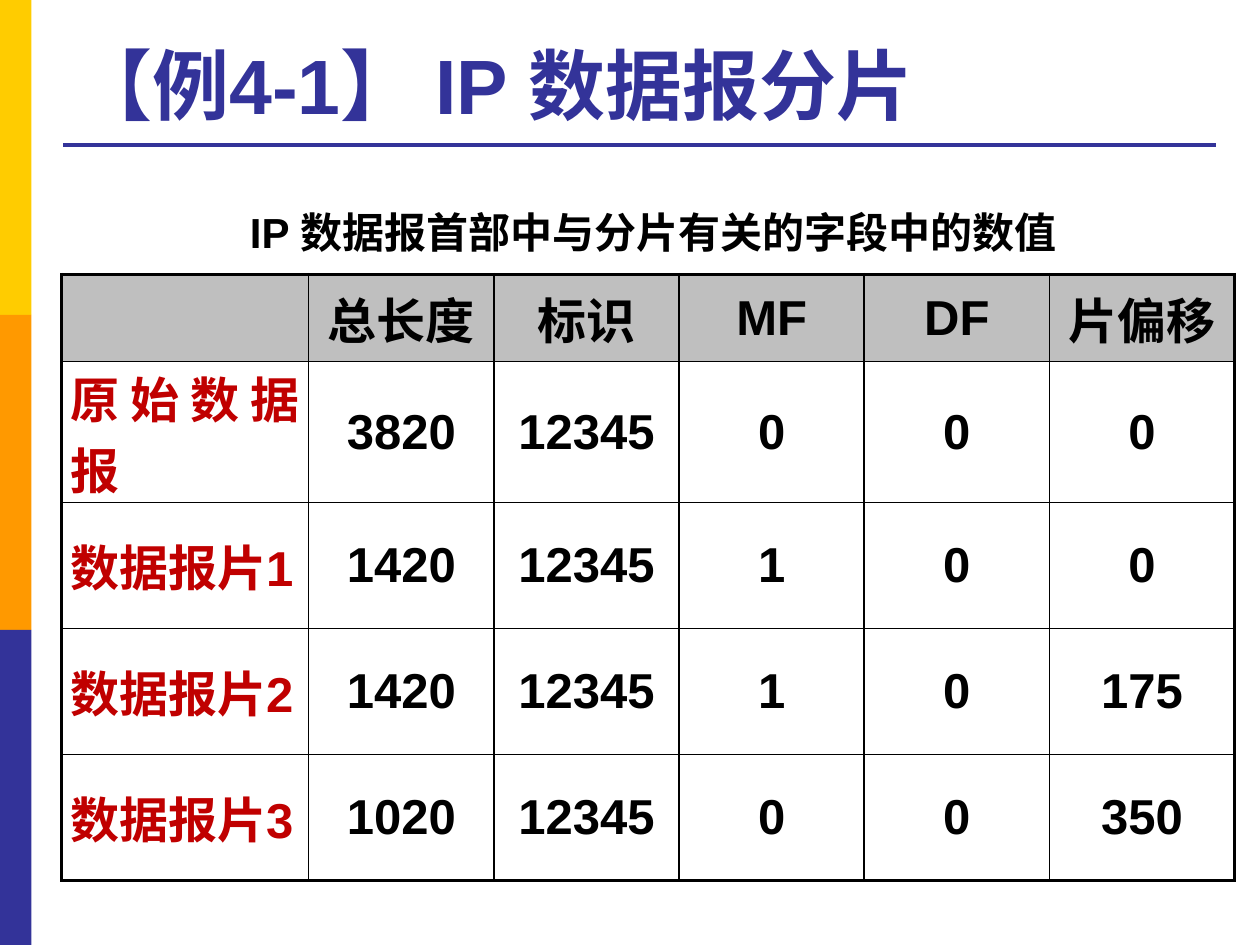
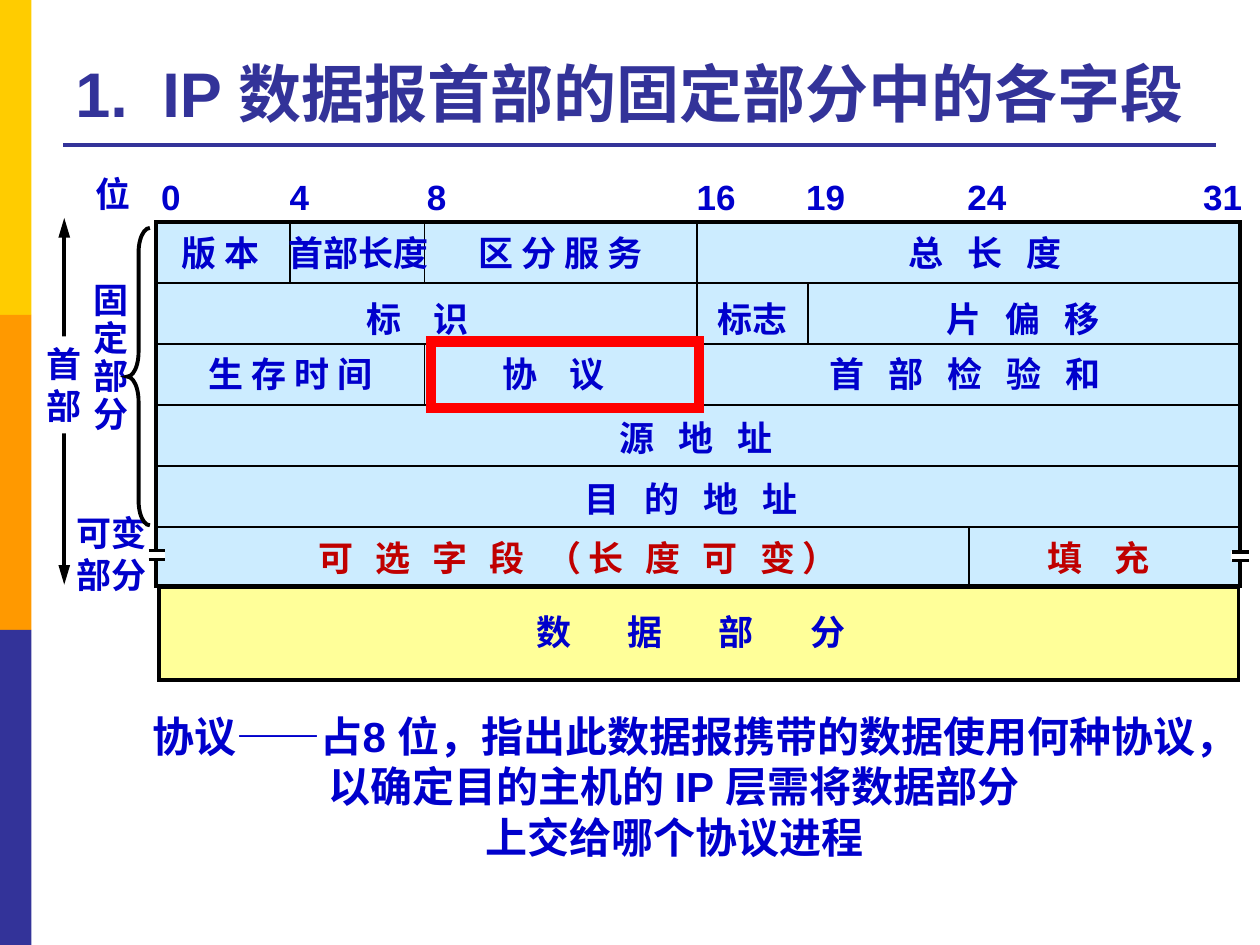
import pptx
import pptx.dml.color
import pptx.enum.shapes
import pptx.enum.text
import pptx.oxml
import pptx.oxml.ns
import pptx.util

RGBColor = pptx.dml.color.RGBColor
Inches = pptx.util.Inches
Pt = pptx.util.Pt
SHAPE = pptx.enum.shapes.MSO_SHAPE
ANCHOR = pptx.enum.text.MSO_ANCHOR
ALIGN = pptx.enum.text.PP_ALIGN

YELLOW = RGBColor(0xFF, 0xCC, 0x00)
ORANGE = RGBColor(0xFF, 0x99, 0x00)
INDIGO = RGBColor(0x33, 0x33, 0x99)
BLACK = RGBColor(0x00, 0x00, 0x00)
WHITE = RGBColor(0xFF, 0xFF, 0xFF)
GRAY = RGBColor(0xBF, 0xBF, 0xBF)
BLUE = RGBColor(0x00, 0x00, 0xCC)
DARK_RED = RGBColor(0xC0, 0x00, 0x00)
RED = RGBColor(0xFF, 0x00, 0x00)
PALE_BLUE = RGBColor(0xCC, 0xEC, 0xFF)
PALE_YELLOW = RGBColor(0xFF, 0xFF, 0x99)

SLIDE_WIDTH, SLIDE_HEIGHT = 10, 7.5
FONT = "Arial"
BAND_COLORS = [YELLOW, ORANGE, INDIGO]

FRAGMENT_TITLE = "【例4-1】 IP 数据报分片"
FRAGMENT_CAPTION = "IP 数据报首部中与分片有关的字段中的数值"
FRAGMENT_ROWS = [
    ["", "总长度", "标识", "MF", "DF", "片偏移"],
    ["原始数据报", "3820", "12345", "0", "0", "0"],
    ["数据报片1", "1420", "12345", "1", "0", "0"],
    ["数据报片2", "1420", "12345", "1", "0", "175"],
    ["数据报片3", "1020", "12345", "0", "0", "350"],
]
FRAGMENT_COLUMNS = [1.96] + [1.47] * 5
FRAGMENT_ROW_HEIGHTS = [0.69, 1.12] + [1] * 3

HEADER_TITLE = "1.\tIP 数据报首部的固定部分中的各字段"
HEADER_TITLE_TAB = 0.69
HEADER_NOTE = [
    "协议——占8 位，指出此数据报携带的数据使用何种协议，",
    "以确定目的主机的 IP 层需将数据部分",
    "上交给哪个协议进程",
]
# Left edge of the column that starts at each bit
BIT_X = {0: 1.24, 4: 2.3, 8: 3.37, 16: 5.53, 19: 6.41, 24: 7.69, 32: 9.84}
BIT_LABELS = [("0", 1.18), ("4", 2.2), ("8", 3.29), ("16", 5.43),
              ("19", 6.3), ("24", 7.58), ("31", 9.45)]
HEADER_TOP, HEADER_BOTTOM, HEADER_ROWS = 1.76, 4.65, 6
ROW_HEIGHT = 0.485
LABEL_TOPS = [1.79, 2.31, 2.75, 3.26, 3.74, 4.21, 4.8]
# Row, first bit, end bit, text, width of a gap in spaces, shift from the centre, colour
FIELDS = [
    (0, 0, 4, "版 本", 1, -0.01, BLUE),
    (0, 4, 8, "首部长度", 1, 0.01, BLUE),
    (0, 8, 16, "区 分 服 务", 1, 0.02, BLUE),
    (0, 16, 32, "总 长 度", 3, 0.18, BLUE),
    (1, 0, 16, "标 识", 4, -0.04, BLUE),
    (1, 16, 19, "标志", 1, 0, BLUE),
    (1, 19, 32, "片 偏 移", 3, 0.04, BLUE),
    (2, 0, 8, "生 存 时 间", 1, 0.02, BLUE),
    (2, 8, 16, "协 议", 4, -0.03, BLUE),
    (2, 16, 32, "首 部 检 验 和", 3, 0.06, BLUE),
    (3, 0, 32, "源 地 址", 3, 0.03, BLUE),
    (4, 0, 32, "目 的 地 址", 3, 0.01, BLUE),
    (5, 0, 24, "可 选 字 段 （长 度 可 变）", 3, 0.27, DARK_RED),
    (5, 24, 32, "填 充", 4, -0.02, DARK_RED),
    (6, 0, 32, "数 据 部 分", 7, 0.09, BLUE),
]
# Bit, first row, end row of each upright divider
DIVIDERS = [(4, 0, 1), (8, 0, 1), (8, 2, 3), (16, 0, 3), (19, 1, 2), (24, 5, 6)]
LABEL_SIZE = 20
GLYPH_WIDTH = LABEL_SIZE / 72
SPACE_WIDTH = 0.28 * GLYPH_WIDTH
GAP_SPACE_WIDTH = 0.23 * GLYPH_WIDTH


def format_text(text_frame, size, color, align=ALIGN.LEFT, spacing=0, line_spacing=None):
    """Format every run; spacing is the extra room after each character, in points."""
    for paragraph in text_frame.paragraphs:
        paragraph.alignment = align
        if line_spacing:
            paragraph.line_spacing = line_spacing
        for run in paragraph.runs:
            run.font.name = FONT
            run.font.size = Pt(size)
            run.font.bold = True
            run.font.color.rgb = color
            if spacing:
                run._r.get_or_add_rPr().set("spc", str(round(spacing * 100)))


def add_text(slide, box, text, size, color, wrap=False, anchor=ANCHOR.TOP, grow=True, **style):
    shape = slide.shapes.add_textbox(*map(Inches, box))
    text_frame = shape.text_frame
    text_frame.text = text
    text_frame.word_wrap = wrap
    text_frame.vertical_anchor = anchor
    if grow:
        text_frame.auto_size = pptx.enum.text.MSO_AUTO_SIZE.SHAPE_TO_FIT_TEXT
    format_text(text_frame, size, color, **style)
    return shape


def add_block(slide, box, fill=None, line=None, weight=1, kind=SHAPE.RECTANGLE):
    shape = slide.shapes.add_shape(kind, *map(Inches, box))
    shape.shadow.inherit = False
    if fill is None:
        shape.fill.background()
    else:
        shape.fill.solid()
        shape.fill.fore_color.rgb = fill
    if line is None:
        shape.line.fill.background()
    else:
        shape.line.color.rgb = line
        shape.line.width = Pt(weight)
        outline = shape._element.spPr.find(pptx.oxml.ns.qn("a:ln"))
        outline.append(new_element("a:miter", lim="800000"))
    return shape


def add_line(slide, start, end, color=BLACK, weight=1, arrows=False):
    line = slide.shapes.add_connector(
        pptx.enum.shapes.MSO_CONNECTOR.STRAIGHT, *map(Inches, (*start, *end)))
    line.line.color.rgb = color
    line.line.width = Pt(weight)
    properties = line._element.spPr
    if arrows:
        outline = properties.find(pptx.oxml.ns.qn("a:ln"))
        for tag in ("a:headEnd", "a:tailEnd"):
            outline.append(new_element(tag, type="triangle", w="med", len="lg"))
    properties.append(new_element("a:effectLst"))


def new_element(tag, **attributes):
    namespace = pptx.oxml.ns.nsdecls("a")
    element = pptx.oxml.parse_xml(f"<{tag} {namespace}/>")
    for name, value in attributes.items():
        element.set(name, value)
    return element


def add_base_slide(presentation, title, size, tab=None):
    """Add a slide with the side bands, the title and its rule."""
    slide = presentation.slides.add_slide(presentation.slide_layouts[6])
    band_height = SLIDE_HEIGHT / len(BAND_COLORS)
    for index, color in enumerate(BAND_COLORS):
        add_block(slide, (0, index * band_height, 0.25, band_height), color)
    add_line(slide, (0.5, 1.15), (9.65, 1.15), INDIGO, 2.25)
    heading = add_text(slide, (0.5, 0.21, 9.15, 0.87), title, size, INDIGO, wrap=True,
                       anchor=ANCHOR.BOTTOM, grow=False)
    if tab:
        tabs = new_element("a:tabLst")
        tabs.append(new_element("a:tab", pos=str(Inches(tab)), algn="l"))
        heading.text_frame.paragraphs[0]._p.get_or_add_pPr().append(tabs)
    return slide


def set_borders(cell, weights):
    """Draw black borders; weights are for left, right, top and bottom."""
    properties = cell._tc.get_or_add_tcPr()
    for index, (side, weight) in enumerate(zip("LRTB", weights)):
        border = new_element(f"a:ln{side}", w=str(Pt(weight)))
        fill = new_element("a:solidFill")
        fill.append(new_element("a:srgbClr", val=str(BLACK)))
        border.append(fill)
        properties.insert(index, border)


def build_fragment_slide(presentation):
    slide = add_base_slide(presentation, FRAGMENT_TITLE, 44)
    row_count, column_count = len(FRAGMENT_ROWS), len(FRAGMENT_COLUMNS)
    table = slide.shapes.add_table(
        row_count, column_count, Inches(0.49), Inches(2.18),
        Inches(sum(FRAGMENT_COLUMNS)), Inches(sum(FRAGMENT_ROW_HEIGHTS))).table
    table.first_row = table.horz_banding = False
    for column, width in zip(table.columns, FRAGMENT_COLUMNS):
        column.width = Inches(width)
    for row_index, values in enumerate(FRAGMENT_ROWS):
        table.rows[row_index].height = Inches(FRAGMENT_ROW_HEIGHTS[row_index])
        for column_index, value in enumerate(values):
            cell = table.cell(row_index, column_index)
            cell.text = value
            cell.vertical_anchor = ANCHOR.MIDDLE
            cell.margin_left = cell.margin_right = Inches(0.07)
            cell.margin_top = cell.margin_bottom = 0
            is_label = column_index == 0
            format_text(cell.text_frame, 28, DARK_RED if is_label else BLACK,
                        ALIGN.JUSTIFY if is_label else ALIGN.CENTER)
            if row_index == 0:
                cell.fill.solid()
                cell.fill.fore_color.rgb = GRAY
            else:
                cell.fill.background()
            on_edge = (is_label, column_index == column_count - 1,
                       row_index == 0, row_index == row_count - 1)
            set_borders(cell, [2.25 if edge else 1 for edge in on_edge])
    add_text(slide, (1.37, 1.59, 7.63, 0.5), FRAGMENT_CAPTION, 24, BLACK,
             wrap=True, align=ALIGN.CENTER)


def add_field_label(slide, row, first_bit, end_bit, text, gap, shift, color):
    gaps = text.count(" ")
    glyphs = len(text) - gaps
    width = 0.2 + glyphs * GLYPH_WIDTH + gaps * gap * SPACE_WIDTH
    center = (BIT_X[first_bit] + BIT_X[end_bit]) / 2 + shift
    spacing = 72 * GAP_SPACE_WIDTH * (gap - 1) * gaps / (len(text) - 1)
    add_text(slide, (center - width / 2, LABEL_TOPS[row], width, 0.43),
             text, LABEL_SIZE, color, spacing=spacing)


def add_break_mark(slide, left, top):
    add_block(slide, (left, top, 0.14, 0.08), WHITE)
    for y in (top + 0.01, top + 0.08):
        add_line(slide, (left + 0.01, y), (left + 0.14, y), weight=2)


def build_header_slide(presentation):
    slide = add_base_slide(presentation, HEADER_TITLE, 36, HEADER_TITLE_TAB)
    left, right = BIT_X[0], BIT_X[32]

    add_text(slide, (0.64, 2.2, 0.48, 1.31), "固\n定\n部\n分", LABEL_SIZE, BLUE,
             line_spacing=0.9)
    add_text(slide, (0.51, 4.01, 0.76, 0.77), "可变\n部分", LABEL_SIZE, BLUE)

    add_block(slide, (left, HEADER_TOP, right - left, HEADER_BOTTOM - HEADER_TOP),
              PALE_BLUE, BLACK, 2)
    add_block(slide, (1.26, 4.66, 8.57, 0.74), PALE_YELLOW, BLACK, 2.25)
    for row in range(1, HEADER_ROWS):
        y = HEADER_TOP + row * ROW_HEIGHT
        add_line(slide, (left, y), (right, y))
    for bit, first_row, end_row in DIVIDERS:
        add_line(slide, (BIT_X[bit], HEADER_TOP + first_row * ROW_HEIGHT),
                 (BIT_X[bit], HEADER_TOP + end_row * ROW_HEIGHT))

    add_text(slide, (0.66, 1.32, 0.48, 0.43), "位", LABEL_SIZE, BLUE)
    for text, x in BIT_LABELS:
        add_text(slide, (x, 1.34, 0.21 + 0.15 * len(text), 0.43), text, LABEL_SIZE, BLUE)
    for field in FIELDS:
        add_field_label(slide, *field)

    add_break_mark(slide, 1.17, 4.36)
    add_break_mark(slide, 9.77, 4.37)

    add_line(slide, (0.51, 1.73), (0.51, 4.64), weight=2.25, arrows=True)
    whole = add_text(slide, (0.27, 2.67, 0.48, 0.77), "首\n部", LABEL_SIZE, BLUE)
    whole.fill.solid()
    whole.fill.fore_color.rgb = WHITE
    brace = add_block(slide, (1.01, 1.81, 0.18, 2.36), None, BLACK, 2.25, SHAPE.LEFT_BRACE)
    brace.adjustments[0] = 1.08

    add_text(slide, (1.1, 5.59, 8.5, 1.31), "\n".join(HEADER_NOTE), 24, BLUE,
             wrap=True, align=ALIGN.CENTER)
    add_block(slide, (3.42, 2.71, 2.13, 0.53), None, RED, 6)


def main():
    presentation = pptx.Presentation()
    presentation.slide_width = Inches(SLIDE_WIDTH)
    presentation.slide_height = Inches(SLIDE_HEIGHT)
    build_fragment_slide(presentation)
    build_header_slide(presentation)
    presentation.save("out.pptx")


if __name__ == "__main__":
    main()
